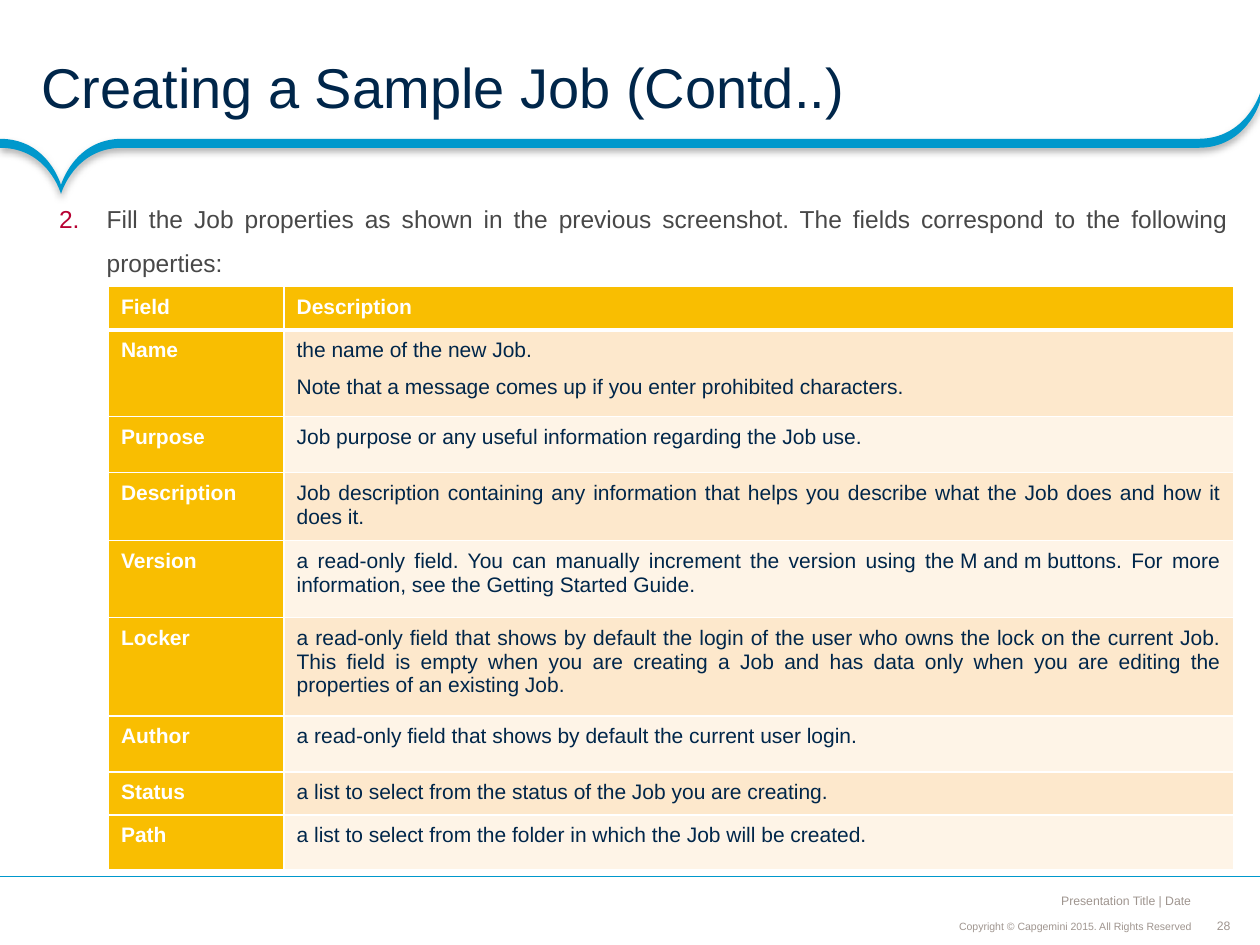
from lxml import etree
from pptx import Presentation
from pptx.dml.color import RGBColor
from pptx.enum.shapes import MSO_CONNECTOR
from pptx.enum.text import MSO_ANCHOR, MSO_AUTO_SIZE, PP_ALIGN
from pptx.oxml.ns import qn
from pptx.util import Cm, Pt

LEFT, MID, RIGHT, JUST = PP_ALIGN.LEFT, PP_ALIGN.CENTER, PP_ALIGN.RIGHT, PP_ALIGN.JUSTIFY
TOP, CENTRE, BOTTOM = MSO_ANCHOR.TOP, MSO_ANCHOR.MIDDLE, MSO_ANCHOR.BOTTOM
FIXED, LINE = MSO_AUTO_SIZE.NONE, MSO_CONNECTOR.STRAIGHT

NAVY = RGBColor(0x00, 0x26, 0x4A)
BLUE = RGBColor(0x00, 0x98, 0xCC)
GREY = RGBColor(0x48, 0x48, 0x48)
TAUPE = RGBColor(0x9F, 0x95, 0x8F)
WHITE = RGBColor(0xFF, 0xFF, 0xFF)
GOLD = RGBColor(0xF9, 0xBE, 0x01)
BANDS = RGBColor(0xFD, 0xE8, 0xCC), RGBColor(0xFE, 0xF4, 0xE7)
RED = "B70132"

# Content (lengths in cm)
TITLE = "Creating a Sample Job (Contd..)"
STEP = ("Fill the Job properties as shown in the previous screenshot. "
        "The fields correspond to the following properties:")
KEYS = chr(160).join(["the", "M", "and", "m", "buttons."])  # kept on one line
WIDTHS = 3.54, 19.15
ROWS = [  # height, field, paragraphs of the description
    (0.87, "Field", ["Description"]),
    (1.75, "Name", ["the name of the new Job.",
                    "Note that a message comes up if you enter prohibited characters."]),
    (1.13, "Purpose", ["Job purpose or any useful information regarding the Job use."]),
    (1.37, "Description", ["Job description containing any information that helps you "
                           "describe what the Job does and how it does it."]),
    (1.55, "Version", ["a read-only field. You can manually increment the version using "
                       f"{KEYS} For more information, see the Getting Started Guide."]),
    (1.98, "Locker", ["a read-only field that shows by default the login of the user who "
                      "owns the lock on the current Job. This field is empty when you are "
                      "creating a Job and has data only when you are editing the "
                      "properties of an existing Job."]),
    (1.13, "Author", ["a read-only field that shows by default the current user login."]),
    (0.87, "Status", ["a list to select from the status of the Job you are creating."]),
    (1.11, "Path", ["a list to select from the folder in which the Job will be created."]),
]
FOOT = [  # text, box, size, alignment, anchor, inset, wrap
    ("28", (24.52, 18.51, 0.3, 0.3), 7, MID, CENTRE, 0, False),
    ("Copyright © Capgemini 2015. All Rights Reserved",
     (17.3, 18.39, 6.82, 0.51), 6, RIGHT, BOTTOM, 0.1, True),
    ("Presentation Title | Date",
     (19.2, 17.87, 4.91, 0.53), 7, RIGHT, BOTTOM, 0.1, True),
]
# Ribbon: start, then curves of two controls and an end
START = (24.16, 2.8)
PEAK = 1.88
CURVES = [
    ((2.46, 2.8),) * 3,
    ((1.5, 2.8), (1.23, 3.73), (1.23, 3.73)),
    ((1.23, 3.73), (0.97, 2.8), (0, 2.8)),
    ((0, 2.98),) * 3,
    ((0.97, 2.98), (1.23, 3.91), (1.23, 3.91)),
    ((1.23, 3.91), (1.5, 2.98), (2.46, 2.98)),
    ((24.16, 2.98),) * 3,
    ((25.12, 2.98), (25.4, 2.06), (25.4, 2.06)),
    ((25.4, PEAK),) * 3,
    ((25.4, PEAK), (25.12, 2.8), START),
]


def add(node, tag, **attrs):
    return etree.SubElement(node, qn(tag), {k: str(v) for k, v in attrs.items()})


def style(par, size, color, align, bold=False):
    par.alignment = align
    par.space_before = Pt(0)
    font = par.font
    font.name, font.size, font.bold = "Arial", Pt(size), bold
    font.color.rgb = color


def place(shape, box):
    shape.left, shape.top, shape.width, shape.height = map(Cm, box)


def frame(text, insets, anchor, wrap=True):
    text.auto_size, text.word_wrap, text.vertical_anchor = FIXED, wrap, anchor
    (text.margin_left, text.margin_top,
     text.margin_right, text.margin_bottom) = map(Cm, insets)


def bend(shape, curves, top):
    """Turn each straight edge of a freeform into its cubic curve."""
    edges = list(shape._element.iter(qn("a:lnTo")))
    for edge, curve in zip(edges, curves):
        cubic = etree.Element(qn("a:cubicBezTo"))
        for x, y in curve:
            add(cubic, "a:pt", x=Cm(x), y=Cm(y) - Cm(top))
        edge.getparent().replace(edge, cubic)


def border(cell, row):
    props = cell._tc.get_or_add_tcPr()
    for side in "LRTB":
        thick = (row, side) in ((0, "B"), (1, "T"))
        edge = add(props, "a:ln" + side, w=Pt(3 if thick else 1))
        add(add(edge, "a:solidFill"), "a:srgbClr", val=WHITE)


deck = Presentation()
deck.slide_width, deck.slide_height = Cm(25.4), Cm(19.05)
slide = deck.slides.add_slide(deck.slide_layouts[1])
shapes = slide.shapes

# Ribbon with soft shadow
pen = shapes.build_freeform(*map(Cm, START))
pen.add_line_segments([tuple(map(Cm, curve[-1])) for curve in CURVES], close=True)
ribbon = pen.convert_to_shape()
bend(ribbon, CURVES, PEAK)
ribbon.fill.solid()
ribbon.fill.fore_color.rgb = BLUE
ribbon.line.fill.background()
glow = add(add(ribbon._element.spPr, "a:effectLst"), "a:outerShdw",
           blurRad=Pt(4), dist=Pt(2), dir=5400000, rotWithShape=0)
add(add(glow, "a:srgbClr", val="000000"), "a:alpha", val=31000)

# Footer
for text, box, size, align, anchor, inset, wrap in FOOT:
    note = shapes.add_textbox(*map(Cm, box)).text_frame
    frame(note, [inset] * 4, anchor, wrap)
    note.text = text
    style(note.paragraphs[0], size, TAUPE, align)
rule = shapes.add_connector(LINE, Cm(25.4), Cm(17.67), Cm(0), Cm(17.67))
rule.line.color.rgb = BLUE
rule.line.width = Pt(0.75)
add(rule._element.spPr, "a:effectLst")

# Title
title = shapes.title
place(title, (0, 0, 25.4, 2.79))
frame(title.text_frame, (0.83, 0.1, 0.46, 0.1), CENTRE)
title.text_frame.text = TITLE
head = title.text_frame.paragraphs[0]
head.line_spacing = 1.5
style(head, 32, NAVY, LEFT)

# Numbered step
body = slide.placeholders[1]
place(body, (0.41, 3.61, 24.56, 12.9))
frame(body.text_frame, (0.3, 0.2, 0.2, 0.2), TOP)
body.text_frame.text = STEP
step = body.text_frame.paragraphs[0]
step.level = 1
step.line_spacing, step.space_after = 1.5, Pt(6)
props = step._p.get_or_add_pPr()
props.set("marL", str(Cm(1.44)))
props.set("indent", str(Cm(-0.96)))
add(add(props, "a:buClr"), "a:srgbClr", val=RED)
add(props, "a:buFont", typeface="+mj-lt")
add(props, "a:buAutoNum", type="arabicPeriod", startAt=2)
style(step, 14, GREY, JUST)

# Table of fields
table = shapes.add_table(len(ROWS), 2, Cm(2.19), Cm(5.78), Cm(sum(WIDTHS)),
                         Cm(sum(row[0] for row in ROWS))).table
table.first_row = table.horz_banding = False
for col, width in zip(table.columns, WIDTHS):
    col.width = Cm(width)
for r, (height, field, lines) in enumerate(ROWS):
    table.rows[r].height = Cm(height)
    for c, texts in enumerate(([field], lines)):
        cell = table.cell(r, c)
        label = r == 0 or c == 0
        border(cell, r)
        cell.fill.solid()
        cell.fill.fore_color.rgb = GOLD if label else BANDS[(r - 1) % 2]
        cell.margin_left = Cm(0.25)
        cell.margin_right = Cm(0.25 if r else 0.41)
        cell.margin_top = cell.margin_bottom = Cm(0.18)
        cell.text = "\n".join(texts)
        for i, par in enumerate(cell.text_frame.paragraphs):
            style(par, 12, WHITE if label else NAVY, JUST, label)
            if i:
                par.space_before = Pt(7.5)

deck.save("out.pptx")
